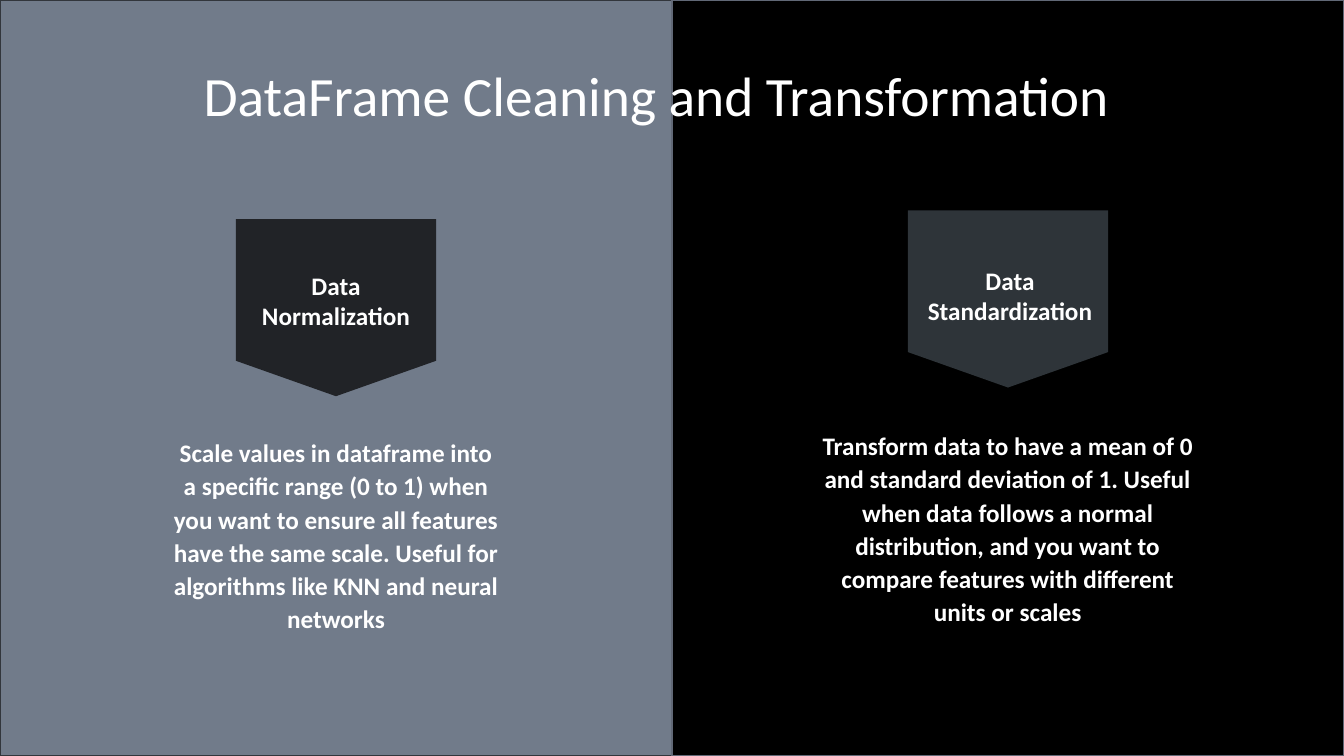
"""Build the slide comparing data normalization with data standardization."""
from pptx import Presentation
from pptx.dml.color import RGBColor
from pptx.enum import shapes, text
from pptx.util import Pt

WHITE = RGBColor(0xFF, 0xFF, 0xFF)
SLATE = RGBColor(0x71, 0x7B, 0x8A)
SLATE_EDGE = RGBColor(0x32, 0x36, 0x3C)
BLACK = RGBColor(0x00, 0x00, 0x00)
BLACK_EDGE = RGBColor(0x61, 0x68, 0x76)
CHARCOAL = RGBColor(0x21, 0x23, 0x27)
GRAPHITE = RGBColor(0x2E, 0x34, 0x39)

deck = Presentation()
deck.slide_width, deck.slide_height = Pt(960), Pt(540)
slide = deck.slides.add_slide(deck.slide_layouts[6])


def add_block(kind, box, fill, edge=None):
    block = slide.shapes.add_shape(kind, *map(Pt, box))
    block.shadow.inherit = False
    block.fill.solid()
    block.fill.fore_color.rgb = fill
    if edge is None:
        block.line.fill.background()
    else:
        block.line.color.rgb = edge
        block.line.width = Pt(1)


def add_words(words, box, size, bold, spacing, inset=7.2, anchor=text.MSO_ANCHOR.TOP):
    frame = slide.shapes.add_textbox(*map(Pt, box)).text_frame
    frame_format = {"word_wrap": True, "vertical_anchor": anchor,
                    "margin_left": Pt(inset), "margin_right": Pt(inset)}
    for name, value in frame_format.items():
        setattr(frame, name, value)
    paragraph = frame.paragraphs[0]
    paragraph.alignment = text.PP_ALIGN.CENTER
    paragraph.line_spacing = spacing
    run = paragraph.add_run()
    run.text = words
    run.font.color.rgb = WHITE
    font_format = {"name": "Calibri", "size": Pt(size), "bold": bold}
    for name, value in font_format.items():
        setattr(run.font, name, value)


halves = [
    {"fill": SLATE, "edge": SLATE_EDGE, "badge_fill": CHARCOAL, "badge_top": 156.5,
     "label": "Data Normalization", "label_box": (162, 189.4, 156, 51),
     "detail": "Scale values in dataframe into a specific range (0 to 1) when you want "
               "to ensure all features have the same scale. Useful for algorithms like "
               "KNN and neural networks",
     "detail_box": (116, 306.7, 248, 175)},
    {"fill": BLACK, "edge": BLACK_EDGE, "badge_fill": GRAPHITE, "badge_top": 150.3,
     "label": "Data Standardization", "label_box": (637.2, 186, 168.5, 51),
     "detail": "Transform data to have a mean of 0 and standard deviation of 1. Useful "
               "when data follows a normal distribution, and you want to compare "
               "features with different units or scales",
     "detail_box": (574, 301.7, 291.6, 150.5)},
]

for column, half in enumerate(halves):
    add_block(shapes.MSO_SHAPE.RECTANGLE, (480 * column, 0, 480, 540),
              half["fill"], half["edge"])

add_words("DataFrame Cleaning and Transformation", (54.7, 41.8, 828, 56.9),
          39.6, False, 0.9, anchor=text.MSO_ANCHOR.MIDDLE)

for column, half in enumerate(halves):
    add_block(shapes.MSO_SHAPE.FLOWCHART_OFFPAGE_CONNECTOR,
              (480 * column + 168.5, half["badge_top"], 143, 126.5), half["badge_fill"])
    add_words(half["label"], half["label_box"], 18, True, 1.0, inset=12)
    add_words(half["detail"], half["detail_box"], 18, True, 1.1)

deck.save("out.pptx")
